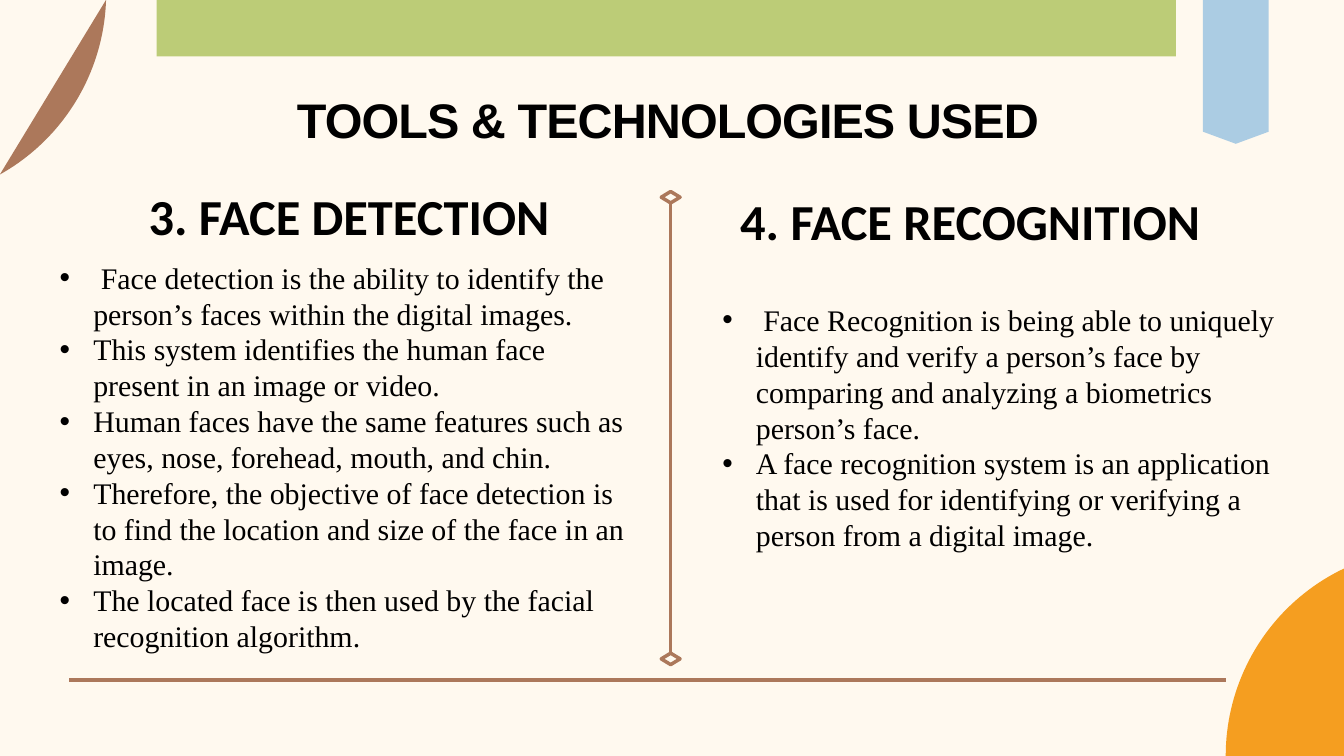
"""Build the slide on face detection and face recognition tools."""
import math
from dataclasses import dataclass

import lxml.etree
import pptx
import pptx.dml.color
import pptx.enum.shapes
import pptx.enum.text
import pptx.oxml.ns
import pptx.util

Inches = pptx.util.Inches
Pt = pptx.util.Pt
qn = pptx.oxml.ns.qn
SHAPES = pptx.enum.shapes.MSO_SHAPE
CENTER = pptx.enum.text.PP_ALIGN.CENTER


@dataclass(frozen=True)
class Theme:
    cream: str = "FFF9EF"
    green: str = "BCCC77"
    brown: str = "AC785B"
    orange: str = "F59E20"
    blue: str = "ABCCE3"
    ink: str = "000000"
    halo: str = "FFFFFF"
    title_font: str = "Arial"
    heading_font: str = "Calibri"
    body_font: str = "Times New Roman"
    title_size: float = 52
    heading_size: float = 54
    body_size: float = 32
    rule: float = 3.75


def rgb(value):
    return pptx.dml.color.RGBColor.from_string(value)


def arc(cx, cy, radius, start, end, steps=40):
    angles = [math.radians(start + (end - start) * i / steps) for i in range(steps + 1)]
    return [(cx + radius * math.cos(a), cy + radius * math.sin(a)) for a in angles]


class Deck:
    def __init__(self, prs, theme):
        self.theme = theme
        self.s = prs.slides.add_slide(prs.slide_layouts[6])
        fill = self.s.background.fill
        fill.solid()
        fill.fore_color.rgb = rgb(theme.cream)

    def paint(self, sp, color):
        sp.shadow.inherit = False
        sp.fill.solid()
        sp.fill.fore_color.rgb = rgb(color)
        sp.line.fill.background()

    def bar(self, left, top, width, height, color):
        sp = self.s.shapes.add_shape(SHAPES.RECTANGLE, *map(Inches, (left, top, width, height)))
        self.paint(sp, color)

    def outline(self, points, color):
        first, *rest = [(Inches(x), Inches(y)) for x, y in points]
        builder = self.s.shapes.build_freeform(*first)
        builder.add_line_segments(rest, close=True)
        self.paint(builder.convert_to_shape(), color)

    def stroke(self, sp):
        sp.line.color.rgb = rgb(self.theme.brown)
        sp.line.width = Pt(self.theme.rule)

    def line(self, x1, y1, x2, y2):
        sp = self.s.shapes.add_connector(
            pptx.enum.shapes.MSO_CONNECTOR.STRAIGHT, *map(Inches, (x1, y1, x2, y2)))
        self.stroke(sp)
        lxml.etree.SubElement(sp._element.spPr, qn("a:effectLst"))
        return sp

    def diamond(self, left, top):
        sp = self.s.shapes.add_shape(SHAPES.DIAMOND, *map(Inches, (left, top, 0.28, 0.17)))
        sp.shadow.inherit = False
        sp.fill.background()
        self.stroke(sp)
        return sp

    def frame(self, left, top, width, height, wrap=True):
        sp = self.s.shapes.add_textbox(*map(Inches, (left, top, width, height)))
        tf = sp.text_frame
        tf.word_wrap = wrap
        tf.auto_size = pptx.enum.text.MSO_AUTO_SIZE.SHAPE_TO_FIT_TEXT
        return tf

    def run(self, p, text, font, size, bold=False):
        r = p.add_run()
        r.text = text
        r.font.name = font
        r.font.size = Pt(size)
        r.font.bold = bold
        r.font.color.rgb = rgb(self.theme.ink)
        return r

    def title(self, text, left, top, width, height):
        tf = self.frame(left, top, width, height)
        tf.margin_left = tf.margin_right = tf.margin_bottom = 0
        tf.margin_top = Inches(0.01)
        p = tf.paragraphs[0]
        p.space_before = Pt(1)
        p._p.get_or_add_pPr().set("marL", str(Inches(0.01)))
        r = self.run(p, text, self.theme.title_font, self.theme.title_size, True)
        r.font._element.set("spc", "-100")

    def heading(self, text, left, top, width, height):
        p = self.frame(left, top, width, height, wrap=False).paragraphs[0]
        p.alignment = CENTER
        r = self.run(p, text, self.theme.heading_font, self.theme.heading_size, True)
        ln = lxml.etree.Element(qn("a:ln"), w=str(Pt(0.75)))
        fill = lxml.etree.SubElement(ln, qn("a:solidFill"))
        lxml.etree.SubElement(fill, qn("a:srgbClr"), val=self.theme.halo)
        r.font._element.insert(0, ln)

    def bullets(self, items, left, top, width, height):
        tf = self.frame(left, top, width, height)
        for i, item in enumerate(items):
            p = tf.add_paragraph() if i else tf.paragraphs[0]
            pPr = p._p.get_or_add_pPr()
            pPr.set("marL", str(Inches(0.5)))
            pPr.set("indent", str(Inches(-0.5)))
            lxml.etree.SubElement(pPr, qn("a:buFont"), typeface="Arial")
            lxml.etree.SubElement(pPr, qn("a:buChar"), char="•")
            self.run(p, item, self.theme.body_font, self.theme.body_size)


def main():
    prs = pptx.Presentation()
    prs.slide_width = Inches(20)
    prs.slide_height = Inches(11.25)
    theme = Theme()
    deck = Deck(prs, theme)

    deck.bar(2.33, 0, 15.17, 0.84, theme.green)
    deck.line(1.03, 10.12, 18.24, 10.12)
    deck.outline(arc(-1.51, -0.1, 3.09, 1.8, 60.8), theme.brown)
    deck.outline([(20, 11.25)] + arc(21.33, 11.25, 3.09, 180, 244.5), theme.orange)
    deck.outline([(17.9, 0), (18.88, 0), (18.88, 1.96), (18.39, 2.14), (17.9, 1.96)], theme.blue)

    deck.title("TOOLS & TECHNOLOGIES USED", 4.41, 1.33, 11.34, 0.89)
    deck.heading("3. FACE DETECTION", 2.08, 2.71, 6.23, 1.01)

    upper, lower = [deck.diamond(9.84, top) for top in (2.85, 9.72)]
    divider = deck.line(9.98, 3.02, 9.98, 9.72)
    divider.begin_connect(upper, 2)
    divider.end_connect(lower, 0)

    deck.heading("4. FACE RECOGNITION", 10.88, 2.78, 7.12, 1.01)
    deck.bullets([
        " Face detection is the ability to identify the person’s faces within the digital images.",
        "This system identifies the human face present in an image or video.",
        "Human faces have the same features such as eyes, nose, forehead, mouth, and chin.",
        "Therefore, the objective of face detection is to find the location and size of the face "
        "in an image.",
        "The located face is then used by the facial recognition algorithm.",
    ], 0.79, 3.81, 8.67, 6.02)
    deck.bullets([
        " Face Recognition is being able to uniquely identify and verify a person’s face by "
        "comparing and analyzing a biometrics person’s face.",
        "A face recognition system is an application that is used for identifying or verifying "
        "a person from a digital image.",
    ], 10.65, 4.44, 8.56, 3.87)
    prs.save("out.pptx")


if __name__ == "__main__":
    main()
